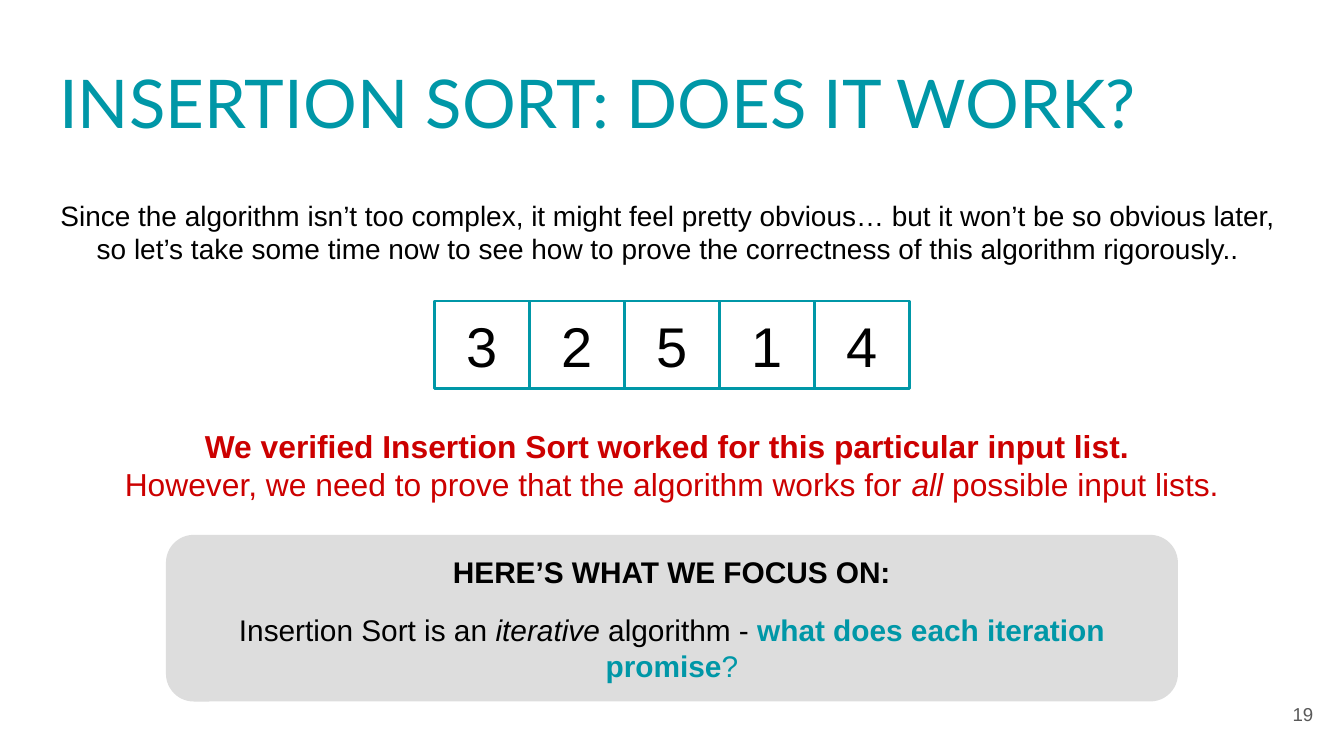
from dataclasses import dataclass

from pptx import Presentation
from pptx.dml.color import RGBColor
from pptx.enum.shapes import MSO_SHAPE
from pptx.enum.text import MSO_ANCHOR, MSO_AUTO_SIZE, PP_ALIGN
from pptx.shapes.autoshape import Shape
from pptx.slide import Slide
from pptx.util import Inches, Pt

COLORS = {
    "teal": "0097A7",
    "red": "CC0000",
    "black": "000000",
    "white": "FFFFFF",
    "panel": "DDDDDD",
    "number": "595959",
}
SLIDE_WIDTH = 10
SLIDE_HEIGHT = SLIDE_WIDTH * 9 / 16
VALUES = [3, 2, 5, 1, 4]
ARRAY_WIDTH = 3.53
PANEL_WIDTH = 7.53


@dataclass(frozen=True)
class Box:
    left: float
    top: float
    width: float
    height: float

    def lengths(self) -> tuple:
        return tuple(map(Inches, (self.left, self.top, self.width, self.height)))


@dataclass(frozen=True)
class Span:
    text: str
    color: str = "black"
    bold: bool = False
    italic: bool = False
    break_after: bool = False


@dataclass(frozen=True)
class Style:
    size: float
    font: str = "Arial"
    align: PP_ALIGN = PP_ALIGN.CENTER
    gap: float = 0


Lines = list[list[Span]]


def rgb(name: str) -> RGBColor:
    return RGBColor.from_string(COLORS[name])


def centered_left(width: float) -> float:
    return (SLIDE_WIDTH - width) / 2


def write(shape: Shape, lines: Lines, style: Style) -> None:
    """Fill a shape with one paragraph per line, with style.gap points between."""
    frame = shape.text_frame
    frame.word_wrap = True
    frame.auto_size = MSO_AUTO_SIZE.NONE
    frame.vertical_anchor = MSO_ANCHOR.MIDDLE
    frame.margin_left = frame.margin_right = Inches(0.1)
    frame.margin_top = frame.margin_bottom = Inches(0.1)
    for index, spans in enumerate(lines):
        paragraph = frame.add_paragraph() if index else frame.paragraphs[0]
        paragraph.alignment = style.align
        paragraph.space_before = Pt(style.gap if index else 0)
        for span in spans:
            run = paragraph.add_run()
            run.text = span.text
            run.font.name = style.font
            run.font.size = Pt(style.size)
            run.font.bold = span.bold
            run.font.italic = span.italic
            run.font.color.rgb = rgb(span.color)
            if span.break_after:
                paragraph.add_line_break()


def add_title(slide: Slide, box: Box, text: str) -> None:
    title = slide.shapes.title
    title.left, title.top, title.width, title.height = box.lengths()
    title.line.color.rgb = rgb("white")
    title.line.width = Pt(2.25)
    write(title, [[Span(text, "teal")]], Style(36, "Lato", PP_ALIGN.LEFT))


def add_text(slide: Slide, box: Box, lines: Lines, style: Style) -> None:
    write(slide.shapes.add_textbox(*box.lengths()), lines, style)


def add_panel(slide: Slide, kind: MSO_SHAPE, box: Box, fill: str,
              lines: Lines, style: Style, line: str | None = None) -> None:
    shape = slide.shapes.add_shape(kind, *box.lengths())
    shape.shadow.inherit = False
    shape.fill.solid()
    shape.fill.fore_color.rgb = rgb(fill)
    if line:
        shape.line.color.rgb = rgb(line)
        shape.line.width = Pt(1.5)
    else:
        shape.line.fill.background()
    write(shape, lines, style)


def main() -> None:
    presentation = Presentation()
    presentation.slide_width = Inches(SLIDE_WIDTH)
    presentation.slide_height = Inches(SLIDE_HEIGHT)
    slide = presentation.slides.add_slide(presentation.slide_layouts[5])

    add_title(slide, Box(0.34, 0.41, 9.32, 0.7), "INSERTION SORT: DOES IT WORK?")

    add_text(slide, Box(0.48, 3.13, 9.04, 0.65), [
        [Span("We verified Insertion Sort worked for this particular input list. ",
              "red", bold=True)],
        [Span("However, we need to prove that the algorithm works for ", "red"),
         Span("all", "red", italic=True),
         Span(" possible input lists.", "red")],
    ], Style(17))

    cell_width = ARRAY_WIDTH / len(VALUES)
    for index, value in enumerate(VALUES):
        left = centered_left(ARRAY_WIDTH) + index * cell_width
        add_panel(slide, MSO_SHAPE.RECTANGLE, Box(left, 2.24, cell_width, 0.65),
                  "white", [[Span(str(value))]], Style(30), line="teal")

    panel = Box(centered_left(PANEL_WIDTH), 3.98, PANEL_WIDTH, 1.24)
    add_panel(slide, MSO_SHAPE.ROUNDED_RECTANGLE, panel, "panel", [
        [Span("HERE’S WHAT WE FOCUS ON:", bold=True)],
        [Span("Insertion Sort is an "),
         Span("iterative ", italic=True),
         Span("algorithm - "),
         Span("what does each iteration promise", "teal", bold=True),
         Span("?", "teal")],
    ], Style(16, gap=12))

    add_text(slide, Box(0.34, 1.37, 9.32, 0.71), [
        [Span("Since the algorithm isn’t too complex, it might feel pretty obvious… "
              "but it won’t be so obvious later, ", break_after=True),
         Span("so let’s take some time now to see how to prove the correctness "
              "of this algorithm rigorously.. ")],
    ], Style(15))

    add_text(slide, Box(9.27, 5.1, 0.6, 0.43), [[Span("19", "number")]],
             Style(10, align=PP_ALIGN.RIGHT))

    presentation.save("out.pptx")


if __name__ == "__main__":
    main()
